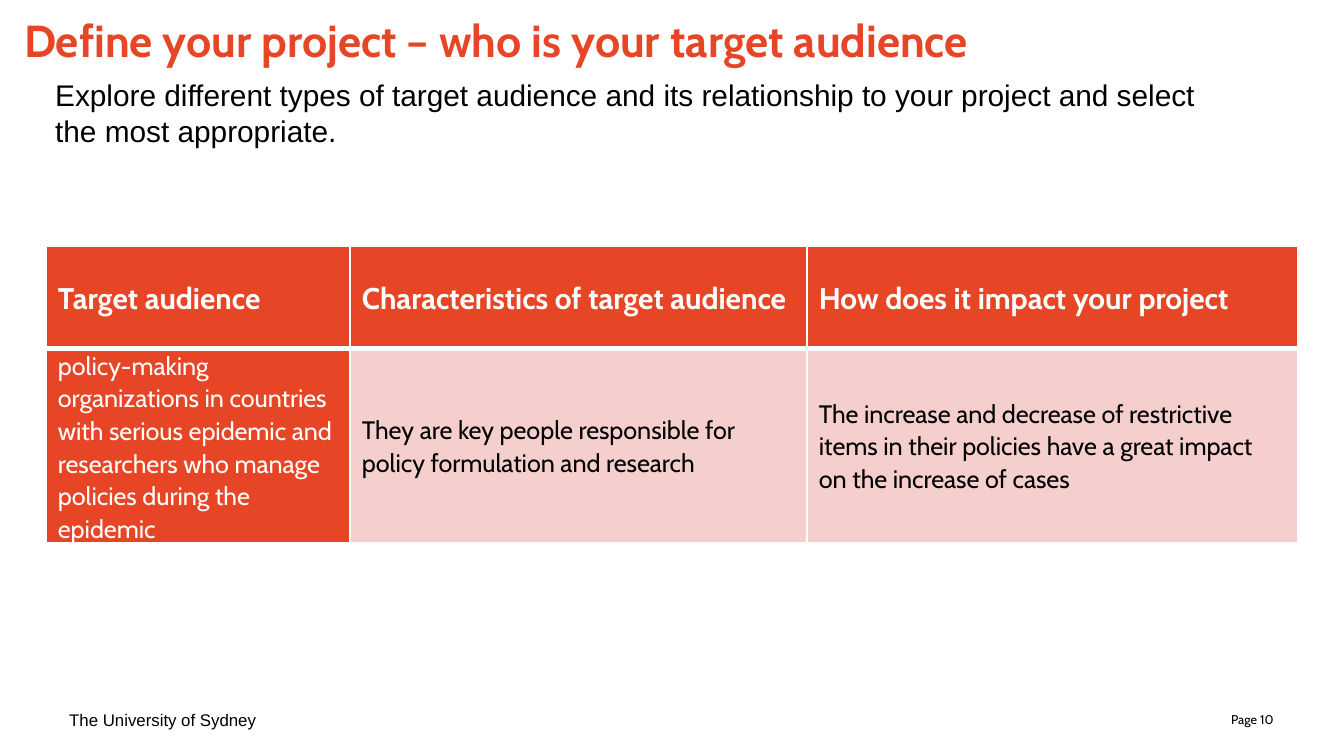
from lxml import etree
from pptx import Presentation
from pptx.dml.color import RGBColor
from pptx.enum.text import MSO_ANCHOR, MSO_AUTO_SIZE, PP_ALIGN
from pptx.oxml.ns import qn
from pptx.util import Emu, Pt

TOP, MIDDLE = MSO_ANCHOR.TOP, MSO_ANCHOR.MIDDLE
LEFT, RIGHT = PP_ALIGN.LEFT, PP_ALIGN.RIGHT
NO_AUTOFIT = MSO_AUTO_SIZE.NONE
TITLE_ONLY_LAYOUT = 5
EMU_PER_PX = 914400 / 134.4

COLORS = {"accent": "E64626", "tint": "F5CFCD", "white": "FFFFFF", "black": "000000"}

COLUMN_WIDTHS = [304, 457, 491]
ROW_HEIGHTS = [103, 194]
TABLE_TEXT = [
    ["Target audience", "Characteristics of target audience", "How does it impact your project"],
    [
        "policy-making organizations in countries with serious epidemic and "
        "researchers who manage policies during the epidemic",
        "They are key people responsible for policy formulation and research",
        "The increase and decrease of restrictive items in their policies have a "
        "great impact on the increase of cases",
    ],
]


def px(length):
    return Emu(round(length * EMU_PER_PX))


def color(name):
    return RGBColor.from_string(COLORS[name])


def format_text(text_frame, font_name, size, color_name, bold=False, align=LEFT, line_spacing=None):
    for paragraph in text_frame.paragraphs:
        paragraph.alignment = align
        paragraph.line_spacing = line_spacing
        for run in paragraph.runs:
            run.font.name = font_name
            run.font.size = Pt(size)
            run.font.bold = bold
            run.font.color.rgb = color(color_name)


def add_title(slide, text):
    title = slide.shapes.title
    title.left, title.top, title.width, title.height = px(24), px(13), px(1263), px(71)
    frame = title.text_frame
    frame.text = text
    frame.auto_size = NO_AUTOFIT
    frame.vertical_anchor = TOP
    frame.margin_left = frame.margin_right = frame.margin_top = frame.margin_bottom = 0
    format_text(frame, "Cabin", 24, "accent", bold=True)


def add_text(slide, box, text, font_name, size, anchor=MIDDLE, align=LEFT, wrap=True):
    frame = slide.shapes.add_textbox(*map(px, box)).text_frame
    frame.word_wrap = wrap
    frame.vertical_anchor = anchor
    frame.text = text
    format_text(frame, font_name, size, "black", align=align)


def set_borders(cell, top, bottom):
    """Draw white cell borders; the side borders are one point wide."""
    properties = cell._tc.get_or_add_tcPr()
    widths = {"a:lnL": 1, "a:lnR": 1, "a:lnT": top, "a:lnB": bottom}
    for index, (tag, width) in enumerate(widths.items()):
        line = etree.Element(qn(tag), w=str(Pt(width)))
        fill = etree.SubElement(line, qn("a:solidFill"))
        etree.SubElement(fill, qn("a:srgbClr"), val=COLORS["white"])
        properties.insert(index, line)


def fill_cell(cell, text, is_header, is_first_column):
    on_accent = is_header or is_first_column
    cell.fill.solid()
    cell.fill.fore_color.rgb = color("accent" if on_accent else "tint")
    cell.vertical_anchor = MIDDLE
    cell.margin_left = cell.margin_right = px(12)
    cell.margin_top = cell.margin_bottom = 0
    cell.text_frame.text = text
    format_text(
        cell.text_frame,
        "Cabin",
        16 if is_header else 13.5,
        "white" if on_accent else "black",
        bold=is_header,
        line_spacing=1.07,
    )
    set_borders(cell, top=1 if is_header else 3, bottom=3 if is_header else 1)


def add_audience_table(slide):
    table = slide.shapes.add_table(
        len(ROW_HEIGHTS), len(COLUMN_WIDTHS),
        px(46), px(246), px(sum(COLUMN_WIDTHS)), px(sum(ROW_HEIGHTS)),
    ).table
    table.horz_banding = False
    for column, width in zip(table.columns, COLUMN_WIDTHS):
        column.width = px(width)
    for row, height in zip(table.rows, ROW_HEIGHTS):
        row.height = px(height)
    for row_index, texts in enumerate(TABLE_TEXT):
        for column_index, text in enumerate(texts):
            fill_cell(table.cell(row_index, column_index), text, row_index == 0, column_index == 0)


def main():
    presentation = Presentation()
    presentation.slide_width, presentation.slide_height = px(1344), px(756)
    slide = presentation.slides.add_slide(presentation.slide_layouts[TITLE_ONLY_LAYOUT])

    add_text(slide, (974, 700, 313, 40), "Page 10", "Cabin", 6.8, align=RIGHT)
    add_text(slide, (56, 700, 313, 40), "The University of Sydney", "Arial", 9)
    add_title(slide, "Define your project – who is your target audience")
    add_audience_table(slide)
    add_text(
        slide, (42, 70, 1191, 122),
        "Explore different types of target audience and its relationship to your project and select\n"
        "the most appropriate.",
        "Arial", 16, anchor=TOP, wrap=False,
    )
    presentation.save("out.pptx")


if __name__ == "__main__":
    main()
